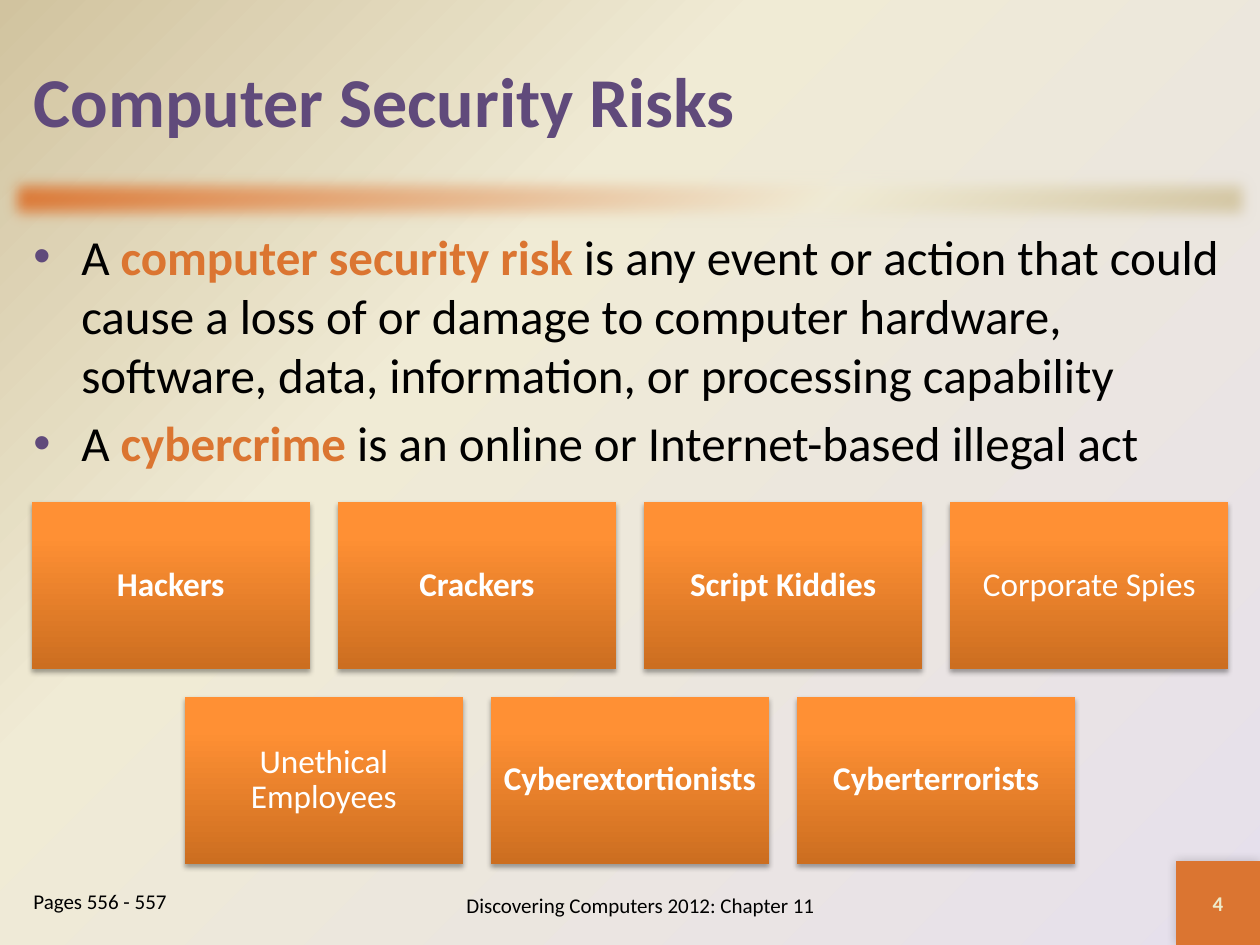
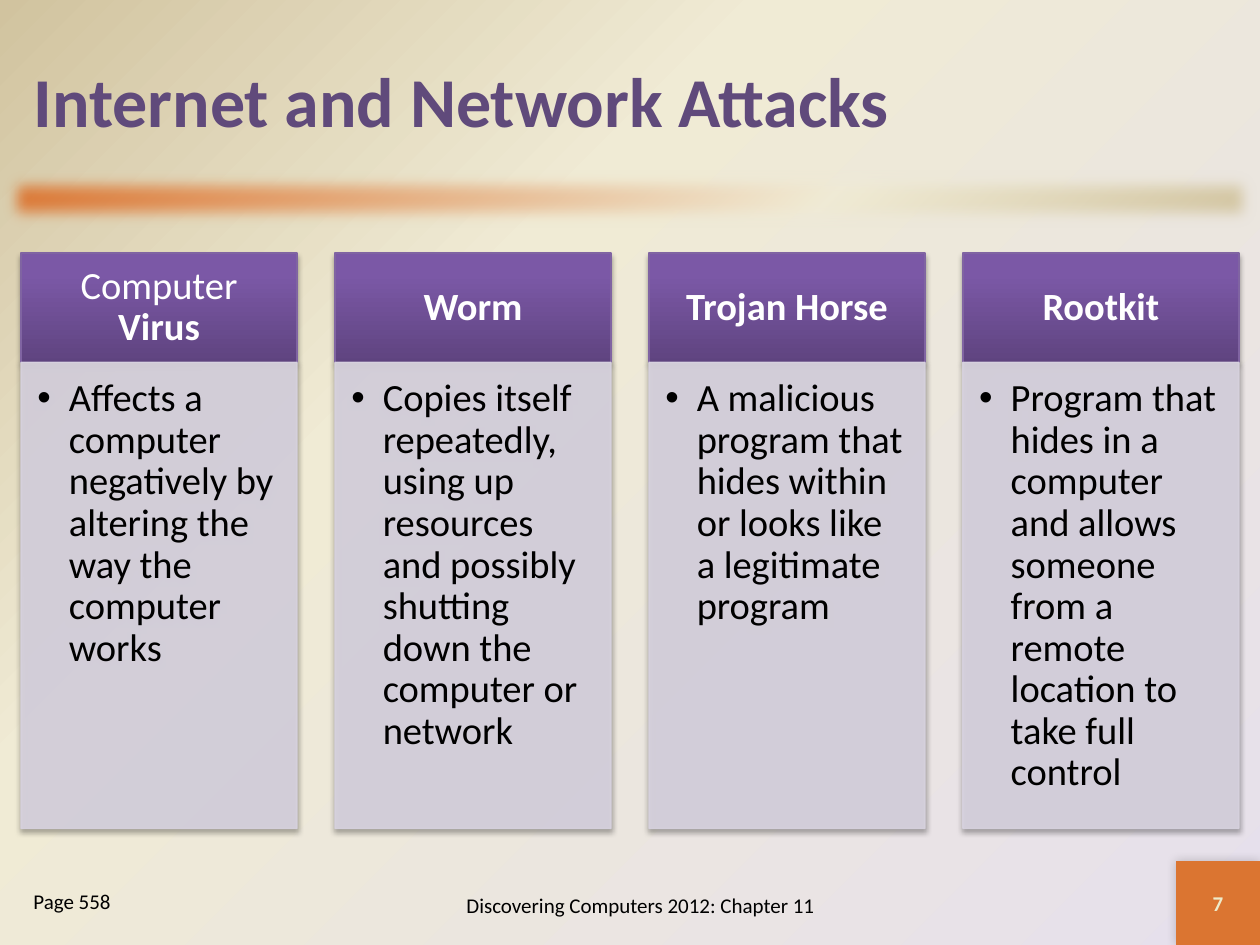
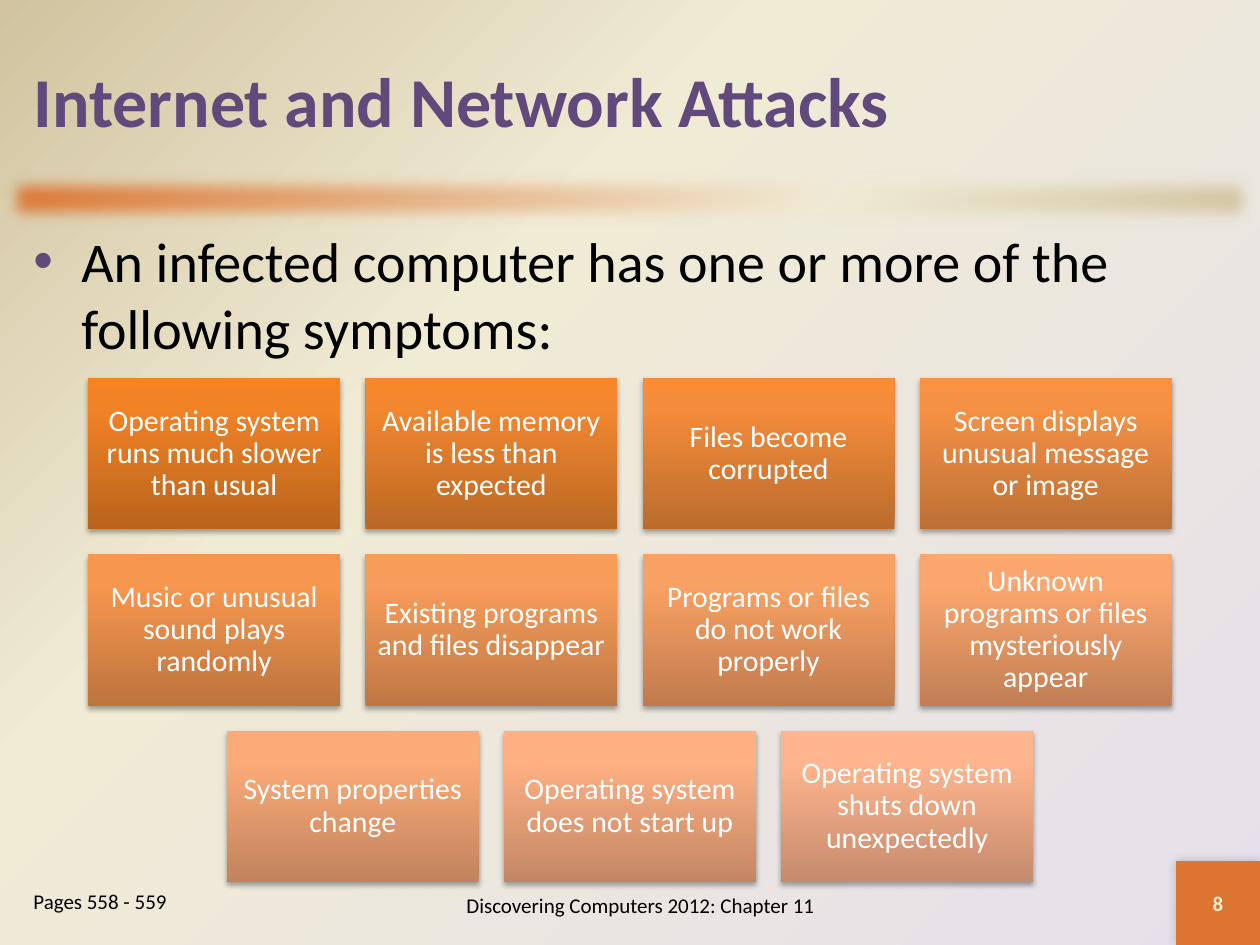
from dataclasses import dataclass
from typing import Iterator, Optional, Sequence

from lxml import etree
from pptx import Presentation
from pptx.dml.color import RGBColor
from pptx.enum.shapes import MSO_SHAPE
from pptx.enum.text import MSO_ANCHOR, MSO_AUTO_SIZE, PP_ALIGN
from pptx.oxml import parse_xml
from pptx.oxml.ns import qn
from pptx.util import Emu, Inches, Pt

RECTANGLE = MSO_SHAPE.RECTANGLE
TOP, MIDDLE = MSO_ANCHOR.TOP, MSO_ANCHOR.MIDDLE
LEFT, CENTER = PP_ALIGN.LEFT, PP_ALIGN.CENTER
NO_AUTOFIT = MSO_AUTO_SIZE.NONE
DRAWING_NS = "http://schemas.openxmlformats.org/drawingml/2006/main"
TITLE_ONLY = 5

# The page is a grid of square cells, six to the inch.
COLUMNS, ROWS = 60, 45
CELL = Inches(10) / COLUMNS

Stops = Sequence[tuple[int, str]]


@dataclass(frozen=True)
class Theme:
    font: str = "Calibri"
    purple: str = "604A7B"
    orange: str = "DB7531"
    black: str = "000000"
    white: str = "FFFFFF"
    number: str = "EEEBCA"
    panel: str = "D8D3E0"
    header_line: str = "8064A2"
    backdrop: Stops = ((0, "E6E0EC"), (65, "F0EBD5"), (100, "D1C39F"))
    band: Stops = ((0, "DB7531"), (65, "F0EBD5"), (100, "D1C39F"))
    tile: Stops = ((0, "CC6E20"), (80, "FF9034"), (100, "FF9136"))
    first_symptom: Stops = ((0, "B9641D"), (80, "F18226"), (100, "F68222"))
    last_symptom: Stops = ((0, "C48B6D"), (80, "FFB58D"), (100, "FFB68F"))
    header: Stops = ((0, "5F4480"), (80, "7B58A6"), (100, "7C57A8"))
    title_size: int = 40
    lead_size: int = 32
    body_size: int = 28
    column_size: int = 22
    tile_size: int = 19
    symptom_size: int = 17
    small_size: int = 12


THEME = Theme()


@dataclass(frozen=True)
class Area:
    """A rectangle in grid cells."""
    column: float
    row: float
    width: float
    height: float

    def lengths(self) -> list[Emu]:
        return [Emu(round(cells * CELL)) for cells in
                (self.column, self.row, self.width, self.height)]


@dataclass(frozen=True)
class TileGrid:
    """Rows of equal tiles, each row centred on the page."""
    top: float
    width: float
    height: float
    gap: float
    per_row: int = 4

    def areas(self, count: int) -> Iterator[Area]:
        for index in range(count):
            row, position = divmod(index, self.per_row)
            in_row = min(self.per_row, count - row * self.per_row)
            row_width = in_row * (self.width + self.gap) - self.gap
            yield Area((COLUMNS - row_width) / 2 + position * (self.width + self.gap),
                       self.top + row * (self.height + self.gap),
                       self.width, self.height)


@dataclass(frozen=True)
class Span:
    text: str
    bold: bool = False
    color: Optional[str] = None


@dataclass(frozen=True)
class Bullet:
    indent: float
    color: str


@dataclass(frozen=True)
class TextStyle:
    size: int
    color: str = THEME.black
    bold: bool = False
    align: PP_ALIGN = LEFT
    anchor: MSO_ANCHOR = TOP
    insets: tuple[float, float, float, float] = (0.1, 0.05, 0.1, 0.05)
    line_spacing: Optional[float] = None
    bullet: Optional[Bullet] = None


@dataclass(frozen=True)
class Shadow:
    alpha: int
    blur: float
    distance: float
    angle: int


@dataclass(frozen=True)
class Attack:
    heading: Sequence[Span]
    effect: str


TITLE_AREA = Area(1, 1, 58, 7.5)
BAND_AREA = Area(0, 8, COLUMNS, 3)
BODY_AREA = Area(1, 10.5, 58, 30.5)
FOOTER_AREA = Area(18, 41.5, 25, 3.25)
NUMBER_AREA = Area(COLUMNS - 4, ROWS - 4, 4, 4)
PAGES_AREA = Area(1, 42, 11, 3)

RISK_GRID = TileGrid(top=23.9, width=13.25, height=7.95, gap=1.33)
SYMPTOM_GRID = TileGrid(top=18, width=12, height=7.2, gap=1.2)
HEADER_GRID = TileGrid(top=12.05, width=13.15, height=5.2, gap=1.8)
PANEL_GRID = TileGrid(top=17.25, width=13.15, height=22.2, gap=1.8)

TILE_SHADOW = Shadow(35, 3.1, 1.8, 90)
CORNER_SHADOW = Shadow(20, 6, 0, 225)

TITLE_STYLE = TextStyle(THEME.title_size, THEME.purple, True, anchor=MIDDLE)
SMALL_STYLE = TextStyle(THEME.small_size)
FOOTER_STYLE = TextStyle(THEME.small_size, align=CENTER, anchor=MIDDLE)
NUMBER_STYLE = TextStyle(THEME.small_size, THEME.number, True, CENTER, MIDDLE)
BODY_BULLET = Bullet(0.38, THEME.purple)
BODY_STYLE = TextStyle(THEME.body_size, bullet=BODY_BULLET)
LEAD_STYLE = TextStyle(THEME.lead_size, bullet=BODY_BULLET)
TILE_STYLE = TextStyle(THEME.tile_size, THEME.white, False, CENTER, MIDDLE,
                       (0.07,) * 4, 0.9)
SYMPTOM_STYLE = TextStyle(THEME.symptom_size, THEME.white, False, CENTER, MIDDLE,
                          (0.07,) * 4, 0.9)
HEADER_STYLE = TextStyle(THEME.column_size, THEME.white, False, CENTER, MIDDLE,
                         (0.17, 0.1, 0.17, 0.1), 0.9)
PANEL_STYLE = TextStyle(THEME.column_size, insets=(0.13, 0.13, 0.17, 0.19),
                        line_spacing=0.9, bullet=Bullet(0.25, THEME.black))

FOOTER = "Discovering Computers 2012: Chapter 11"
RISK_TEXT = [
    [Span("A "), Span("computer security risk ", True, THEME.orange),
     Span("is any event or action that could cause a loss of or damage to computer "
          "hardware, software, data, information, or processing capability")],
    [Span("A "), Span("cybercrime", True, THEME.orange),
     Span(" is an online or Internet-based illegal act")],
]
PERPETRATORS = [
    Span("Hackers", True), Span("Crackers", True), Span("Script Kiddies", True),
    Span("Corporate Spies"), Span("Unethical Employees"),
    Span("Cyberextortionists", True), Span("Cyberterrorists", True),
]
ATTACKS = [
    Attack([Span("Computer "), Span("Virus", True)],
           "Affects a computer negatively by altering the way the computer works"),
    Attack([Span("Worm", True)],
           "Copies itself repeatedly, using up resources and possibly shutting down "
           "the computer or network"),
    Attack([Span("Trojan Horse", True)],
           "A malicious program that hides within or looks like a legitimate program"),
    Attack([Span("Rootkit", True)],
           "Program that hides in a computer and allows someone from a remote "
           "location to take full control"),
]
SYMPTOMS = [
    "Operating system runs much slower than usual",
    "Available memory is less than expected",
    "Files become corrupted",
    "Screen displays unusual message or image",
    "Music or unusual sound plays randomly",
    "Existing programs and files disappear",
    "Programs or files do not work properly",
    "Unknown programs or files mysteriously appear",
    "System properties change",
    "Operating system does not start up",
    "Operating system shuts down unexpectedly",
]


def rgb(color: str) -> RGBColor:
    return RGBColor.from_string(color)


def add_element(parent, tag: str, **attributes):
    child = etree.SubElement(parent, qn(f"a:{tag}"))
    for name, value in attributes.items():
        child.set(name, str(value))
    return child


def gradient(stops: Stops, angle: Optional[int] = None):
    """Make a linear gradient, or a circular one from the bottom right corner."""
    fill = parse_xml(f'<a:gradFill xmlns:a="{DRAWING_NS}" rotWithShape="1"/>')
    stop_list = add_element(fill, "gsLst")
    for position, color in stops:
        stop = add_element(stop_list, "gs", pos=position * 1000)
        add_element(stop, "srgbClr", val=color)
    if angle is None:
        add_element(add_element(fill, "path", path="circle"),
                    "fillToRect", l=100000, t=100000)
    else:
        add_element(fill, "lin", ang=angle * 60000, scaled=0)
    return fill


def blend(first: Stops, last: Stops, share: float) -> Stops:
    return [(position, str(RGBColor(*(round(a + (b - a) * share)
                                      for a, b in zip(rgb(start), rgb(end))))))
            for (position, start), (_, end) in zip(first, last)]


def write_text(shape, paragraphs: Sequence[Sequence[Span]], style: TextStyle) -> None:
    frame = shape.text_frame
    frame.word_wrap = True
    frame.auto_size = NO_AUTOFIT
    frame.vertical_anchor = style.anchor
    (frame.margin_left, frame.margin_top,
     frame.margin_right, frame.margin_bottom) = map(Inches, style.insets)
    for index, spans in enumerate(paragraphs):
        para = frame.add_paragraph() if index else frame.paragraphs[0]
        if style.bullet:
            add_bullet(para, style.bullet)
        para.alignment = style.align
        if style.line_spacing:
            para.line_spacing = style.line_spacing
        if index:
            para.space_before = Pt(style.size * 0.2)
        same_weight = len({span.bold for span in spans}) == 1
        para.font.name = THEME.font
        para.font.size = Pt(style.size)
        para.font.bold = style.bold or (same_weight and spans[0].bold)
        para.font.color.rgb = rgb(style.color)
        for span in spans:
            run = para.add_run()
            run.text = span.text
            if not same_weight:
                run.font.bold = span.bold
            if span.color:
                run.font.color.rgb = rgb(span.color)


def add_bullet(para, bullet: Bullet) -> None:
    properties = para._p.get_or_add_pPr()
    properties.set("marL", str(Inches(bullet.indent)))
    properties.set("indent", str(-Inches(bullet.indent)))
    add_element(add_element(properties, "buClr"), "srgbClr", val=bullet.color)
    add_element(properties, "buFont", typeface="Arial")
    add_element(properties, "buChar", char="•")


def add_text(page, area: Area, paragraphs: Sequence[Sequence[Span]],
             style: TextStyle) -> None:
    write_text(page.shapes.add_textbox(*area.lengths()), paragraphs, style)


def add_box(page, area: Area, fill: Optional[str] = None, stops: Stops = (),
            angle: int = 270, line: Optional[str] = None,
            shadow: Optional[Shadow] = None):
    """Draw a rectangle with a plain fill, or with a gradient if stops are given."""
    box = page.shapes.add_shape(RECTANGLE, *area.lengths())
    properties = box.element.spPr
    if stops:
        box.fill.background()
        properties.replace(properties.find(qn("a:noFill")), gradient(stops, angle))
    else:
        box.fill.solid()
        box.fill.fore_color.rgb = rgb(fill)
    if line:
        box.line.color.rgb = rgb(line)
        box.line.width = Pt(0.75)
    else:
        box.line.fill.background()
    box.shadow.inherit = False
    if shadow:
        effect = add_element(properties.find(qn("a:effectLst")), "outerShdw",
                             blurRad=Pt(shadow.blur), dist=Pt(shadow.distance),
                             dir=shadow.angle * 60000, rotWithShape=0)
        color = add_element(effect, "srgbClr", val=THEME.black)
        add_element(color, "alpha", val=shadow.alpha * 1000)
    return box


def make_translucent(box, percent: int) -> None:
    """Give the fill and line of a plain box the same opacity."""
    for color in box.element.spPr.findall(f".//{qn('a:solidFill')}/{qn('a:srgbClr')}"):
        add_element(color, "alpha", val=percent * 1000)


def dress_master(deck, page) -> None:
    """Put the backdrop, band and number square on the master of all pages."""
    master = deck.slide_master
    master.background.fill.solid()
    backdrop = master.element.find(f".//{qn('p:bgPr')}")
    backdrop.replace(backdrop.find(qn("a:solidFill")), gradient(THEME.backdrop))
    band = add_box(page, BAND_AREA, stops=THEME.band, angle=45)
    add_element(band.element.spPr.find(qn("a:effectLst")), "softEdge", rad=Pt(9))
    corner = add_box(page, NUMBER_AREA, THEME.orange, shadow=CORNER_SHADOW)
    for shape in (corner, band):
        master.shapes.element.insert(2, shape.element)


def add_page(deck, title: str, number: int, pages: str):
    page = deck.slides.add_slide(deck.slide_layouts[TITLE_ONLY])
    heading = page.shapes.title
    heading.left, heading.top, heading.width, heading.height = TITLE_AREA.lengths()
    write_text(heading, [[Span(title)]], TITLE_STYLE)
    for area, text, style in ((FOOTER_AREA, FOOTER, FOOTER_STYLE),
                              (NUMBER_AREA, str(number), NUMBER_STYLE),
                              (PAGES_AREA, pages, SMALL_STYLE)):
        add_text(page, area, [[Span(text)]], style)
    return page


def add_risks(deck):
    page = add_page(deck, "Computer Security Risks", 4, "Pages 556 - 557")
    add_text(page, BODY_AREA, RISK_TEXT, BODY_STYLE)
    for area, name in zip(RISK_GRID.areas(len(PERPETRATORS)), PERPETRATORS):
        tile = add_box(page, area, stops=THEME.tile, shadow=TILE_SHADOW)
        write_text(tile, [[name]], TILE_STYLE)
    return page


def add_attacks(deck) -> None:
    page = add_page(deck, "Internet and Network Attacks", 7, "Page 558")
    count = len(ATTACKS)
    for attack, header_area, panel_area in zip(
            ATTACKS, HEADER_GRID.areas(count), PANEL_GRID.areas(count)):
        header = add_box(page, header_area, stops=THEME.header,
                         line=THEME.header_line, shadow=TILE_SHADOW)
        write_text(header, [attack.heading], HEADER_STYLE)
        panel = add_box(page, panel_area, THEME.panel, line=THEME.panel,
                        shadow=TILE_SHADOW)
        make_translucent(panel, 90)
        write_text(panel, [[Span(attack.effect)]], PANEL_STYLE)


def add_symptoms(deck) -> None:
    page = add_page(deck, "Internet and Network Attacks", 8, "Pages 558 - 559")
    add_text(page, BODY_AREA, [[Span("An infected computer has one or more of the "
                                     "following symptoms:")]], LEAD_STYLE)
    count = len(SYMPTOMS)
    for index, area in enumerate(SYMPTOM_GRID.areas(count)):
        stops = blend(THEME.first_symptom, THEME.last_symptom, index / (count - 1))
        tile = add_box(page, area, stops=stops, shadow=TILE_SHADOW)
        write_text(tile, [[Span(SYMPTOMS[index])]], SYMPTOM_STYLE)


def main() -> None:
    deck = Presentation()
    deck.slide_width = Emu(round(COLUMNS * CELL))
    deck.slide_height = Emu(round(ROWS * CELL))
    dress_master(deck, add_risks(deck))
    add_attacks(deck)
    add_symptoms(deck)
    deck.save("out.pptx")


if __name__ == "__main__":
    main()
